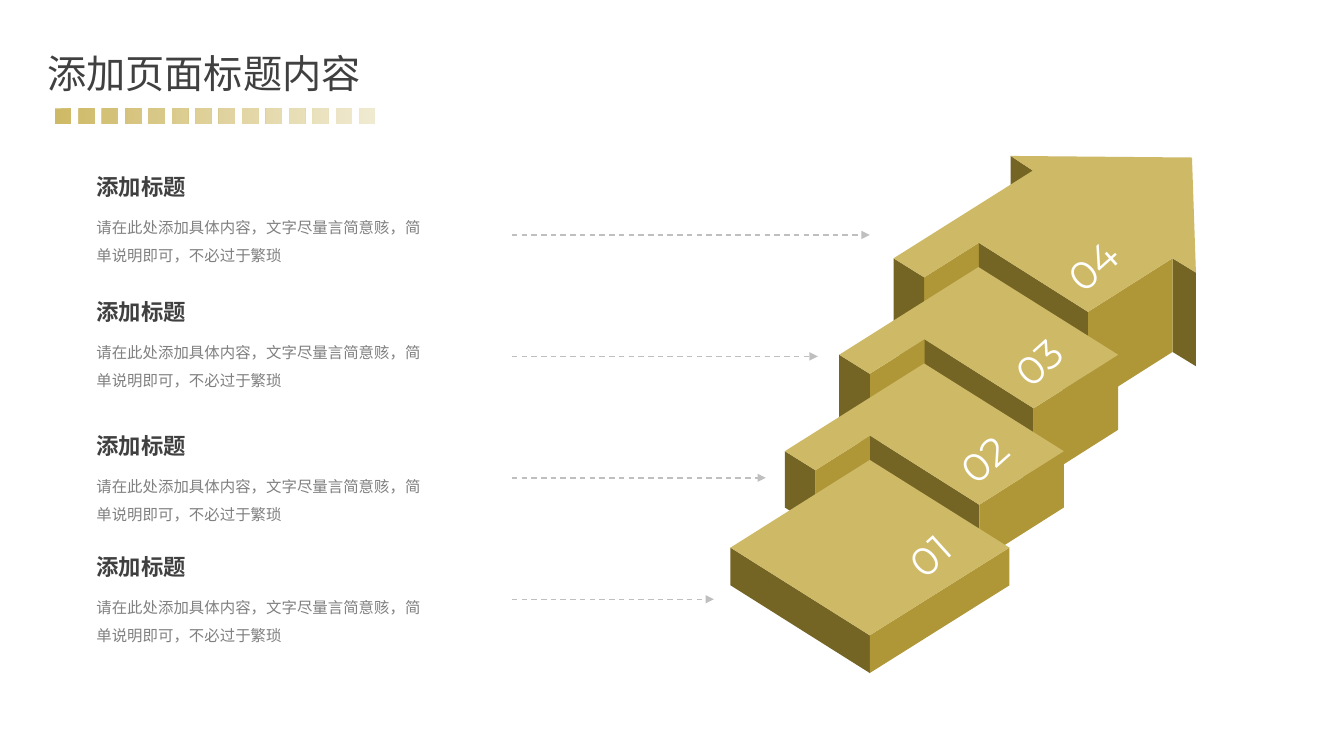
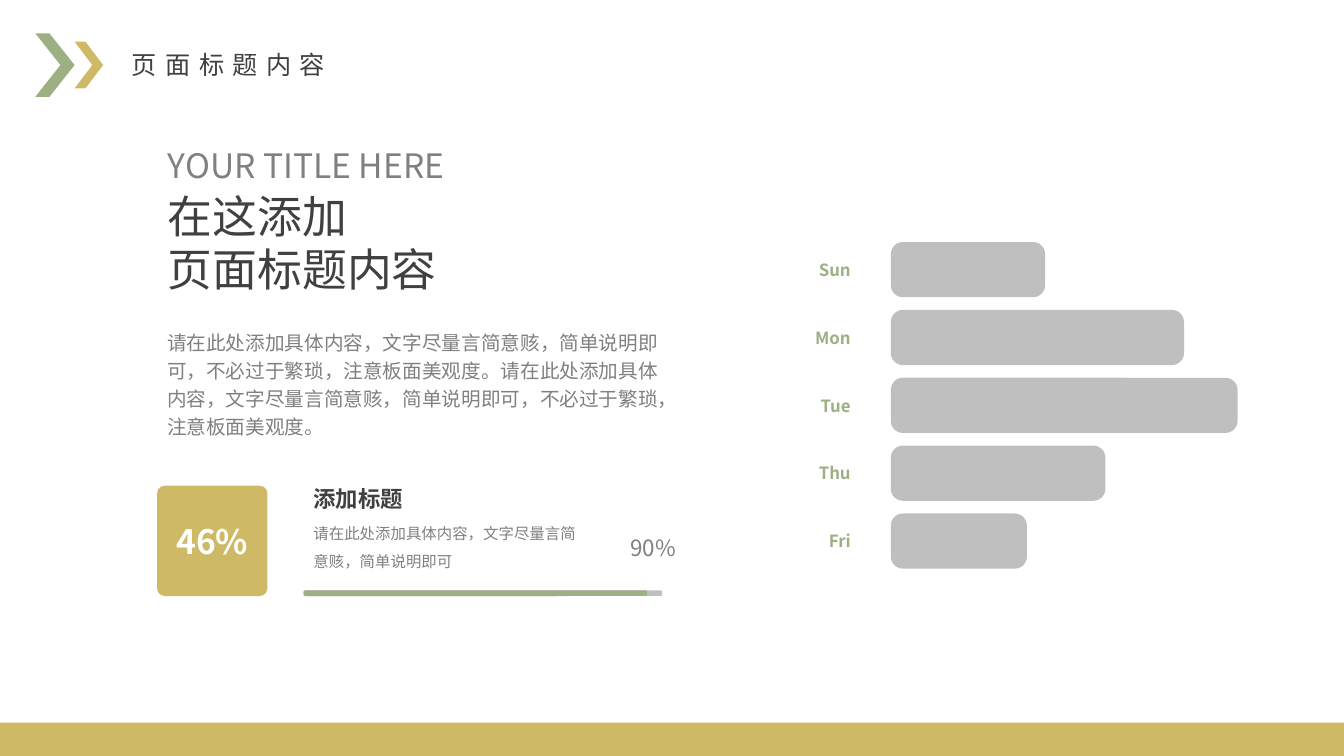
from lxml import etree
from pptx import Presentation
from pptx.dml.color import RGBColor
from pptx.enum import dml, shapes, text
from pptx.oxml import ns
from pptx.util import Cm, Pt

GOLD, MID, DARK, GREEN = "CEB966", "AF9738", "756525", "9CB084"
INK, GRAY, PALE, WHITE = "404040", "808080", "BFBFBF", "FFFFFF"
SANS = "Noto Sans CJK SC"
KIND = shapes.MSO_SHAPE
SIDE = text.PP_ALIGN
LEAD = "添加标题"


def paint(shape, tone):
    shape.shadow.inherit = False
    shape.fill.solid()
    shape.fill.fore_color.rgb = RGBColor.from_string(tone)
    shape.line.fill.background()


def write(shape, words, size, tone, bold=False, side=SIDE.LEFT, lead=0,
          face=SANS, gap=0, anchor=text.MSO_ANCHOR.TOP):
    frame = shape.text_frame
    frame.word_wrap = True
    frame.auto_size = text.MSO_AUTO_SIZE.NONE
    frame.vertical_anchor = anchor
    frame.text = words
    for para in frame.paragraphs:
        para.alignment = side
        para.line_spacing = Pt(lead or size * 1.2)
        font = para.font
        font.name, font.size, font.bold = face, Pt(size), bold
        font.color.rgb = RGBColor.from_string(tone)
        etree.SubElement(font._rPr, ns.qn("a:ea"), typeface=face)
        if gap:
            font._rPr.set("spc", str(gap * 100))


deck = Presentation()
deck.slide_width, deck.slide_height = Cm(33.87), Cm(19.05)
heads = [
    ("添加页面标题内容", (0.94, 1.12, 12, 1.45), 28, SANS, 0),
    ("页面标题内容", (3.07, 1.12, 10, 1.02), 18, "Lato", 6),
]
pages = []
for words, box, size, face, gap in heads:
    page = deck.slides.add_slide(deck.slide_layouts[5])
    title = page.shapes.title
    title.left, title.top, title.width, title.height = map(Cm, box)
    write(title, words, size, INK, face=face, gap=gap)
    pages.append(page.shapes)
steps, stats = pages

left, apex, right, base = (0, 0), (3.51, -2.21), (7.03, 0), (3.51, 2.21)
tip, nook, edge = (0.77, 0.48), (2.15, -0.39), (4.9, 1.35)
barb, point, fin = (2.95, -2.58), (7.52, -2.54), (7.62, 0.36)
front = [(left, base, DARK), (base, right, MID)]
walls = [(tip, nook, MID), (left, tip, DARK), (nook, edge, DARK), (edge, right, MID)]
wings = [(right, fin, DARK), (barb, apex, DARK)]
notch = [right, edge, nook, tip]
blocks = [
    (front, [left, apex, right, base]),
    (walls, [left, apex] + notch),
    (walls, [left, apex] + notch),
    (wings + walls, [left, apex, barb, point, fin] + notch),
]
for rank in reversed(range(4)):
    sides, top = blocks[rank]
    x, y, deep = 18.41 + 1.37 * rank, 13.8 - 2.43 * rank, 0.95 + 0.47 * rank
    faces = [([a, b, (b[0], b[1] + deep), (a[0], a[1] + deep)], tone)
             for a, b, tone in sides]
    group = steps.add_group_shape().shapes
    for dots, tone in faces + [(top, GOLD)]:
        spots = [(Cm(x + dx), Cm(y + dy)) for dx, dy in dots]
        path = group.build_freeform(*spots[0])
        path.add_line_segments(spots[1:])
        paint(path.convert_to_shape(), tone)
    label = group.add_textbox(Cm(x + 3.91), Cm(y - 0.91), Cm(2.2), Cm(2.2))
    write(label, f"{rank + 1:02}", 28, WHITE, side=SIDE.CENTER,
          face="Montserrat", anchor=text.MSO_ANCHOR.MIDDLE)
    frame = label.text_frame
    frame.margin_left = frame.margin_right = frame.margin_top = frame.margin_bottom = 0
    label.rotation = -42

for row, y in enumerate((4.24, 7.39, 10.77, 13.82)):
    write(steps.add_textbox(Cm(2.18), Cm(y), Cm(4), Cm(0.94)), LEAD, 16, INK, True)
    write(steps.add_textbox(Cm(2.18), Cm(y + 0.89), Cm(8.99), Cm(1.6)),
          "请在此处添加具体内容，文字尽量言简意赅，简单说明即可，不必过于繁琐",
          11, GRAY, lead=20)
    high = Cm(5.92 + 3.06 * row)
    arrow = steps.add_connector(shapes.MSO_CONNECTOR.STRAIGHT, Cm(12.9), high,
                                Cm(21.92 - 1.31 * row), high)
    arrow.line.color.rgb = RGBColor.from_string(PALE)
    arrow.line.width = Pt(1)
    arrow.line.dash_style = dml.MSO_LINE.DASH
    etree.SubElement(arrow.line._get_or_add_ln(), ns.qn("a:tailEnd"), type="triangle")
    etree.SubElement(arrow._element.spPr, ns.qn("a:effectLst"))

path = steps.build_freeform(Cm(1.39), Cm(2.73))
for cell in range(14):
    x, y, size = Cm(1.39 + 0.59 * cell), Cm(2.73), Cm(0.4)
    if cell:
        path.move_to(x, y)
    path.add_line_segments([(x + size, y), (x + size, y + size), (x, y + size)])
strip = path.convert_to_shape()
paint(strip, GOLD)
strip.fill.gradient()
strip.fill.gradient_angle = 0
for stop, tone in zip(strip.fill.gradient_stops, (GOLD, "F0EAD1")):
    stop.color.rgb = RGBColor.from_string(tone)

rows = [("Sun", 3.89), ("Mon", 7.39), ("Tue", 8.74), ("Thu", 5.41), ("Fri", 3.43)]
ROUND = KIND.ROUNDED_RECTANGLE
parts = [
    (KIND.CHEVRON, (0.89, 0.84, 0.99, 1.6), 0.64, GREEN),
    (KIND.CHEVRON, (1.88, 1.05, 0.72, 1.18), 0.62, GOLD),
    (ROUND, (7.65, 14.88, 9.04, 0.14), 0.33, PALE),
    (ROUND, (7.65, 14.88, 8.66, 0.14), 0.33, GREEN),
    (KIND.RECTANGLE, (0, 18.21, 33.87, 0.84), None, GOLD),
]
for row, (day, wide) in enumerate(rows):
    y = 6.1 + 1.71 * row
    parts.append((ROUND, (22.45, y, wide, 1.39), 0.22, PALE))
    write(stats.add_textbox(Cm(20.09), Cm(y), Cm(1.6), Cm(1.39)), day, 12, GREEN,
          True, SIDE.RIGHT, anchor=text.MSO_ANCHOR.MIDDLE)
for kind, box, bend, tone in parts:
    part = stats.add_shape(kind, *map(Cm, box))
    paint(part, tone)
    if bend:
        part.adjustments[0] = bend

badge = stats.add_shape(ROUND, Cm(3.96), Cm(12.24), Cm(2.78), Cm(2.78))
paint(badge, GOLD)
badge.adjustments[0] = 0.07
write(badge, "46%", 24, WHITE, True, SIDE.CENTER, anchor=text.MSO_ANCHOR.MIDDLE)

notes = [
    ("YOUR TITLE HERE", (3.98, 3.53, 8.84, 1.2), 24, GRAY, False, SIDE.LEFT, 0),
    ("在这添加\n页面标题内容", (3.98, 4.65, 9, 3), 32, INK, False, SIDE.LEFT, 38),
    ("请在此处添加具体内容，文字尽量言简意赅，简单说明即可，不必过于繁琐，注意板面美观度。"
     "请在此处添加具体内容，文字尽量言简意赅，简单说明即可，不必过于繁琐，注意板面美观度。",
     (3.96, 8.1, 13.31, 3.05), 14, GRAY, False, SIDE.LEFT, 20),
    (LEAD, (7.65, 12.09, 4, 0.94), 16, INK, True, SIDE.LEFT, 0),
    ("请在此处添加具体内容，文字尽量言简意赅，简单说明即可",
     (7.65, 12.83, 7.34, 1.6), 11, GRAY, False, SIDE.LEFT, 20),
    ("90%", (15.27, 13, 2.01, 1.17), 16, GRAY, False, SIDE.RIGHT, 29),
]
for words, box, *style in notes:
    write(stats.add_textbox(*map(Cm, box)), words, *style)

deck.save("out.pptx")
